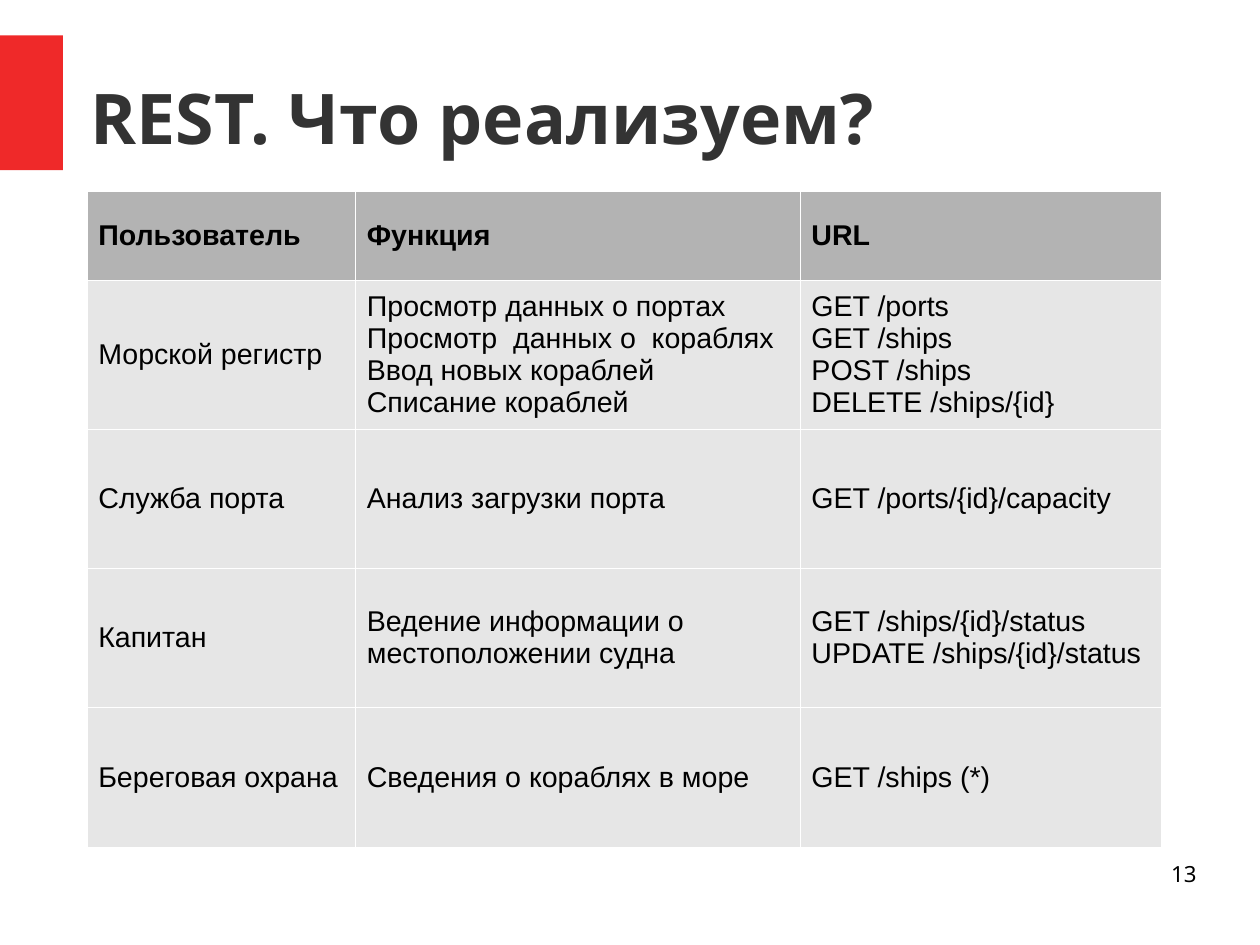
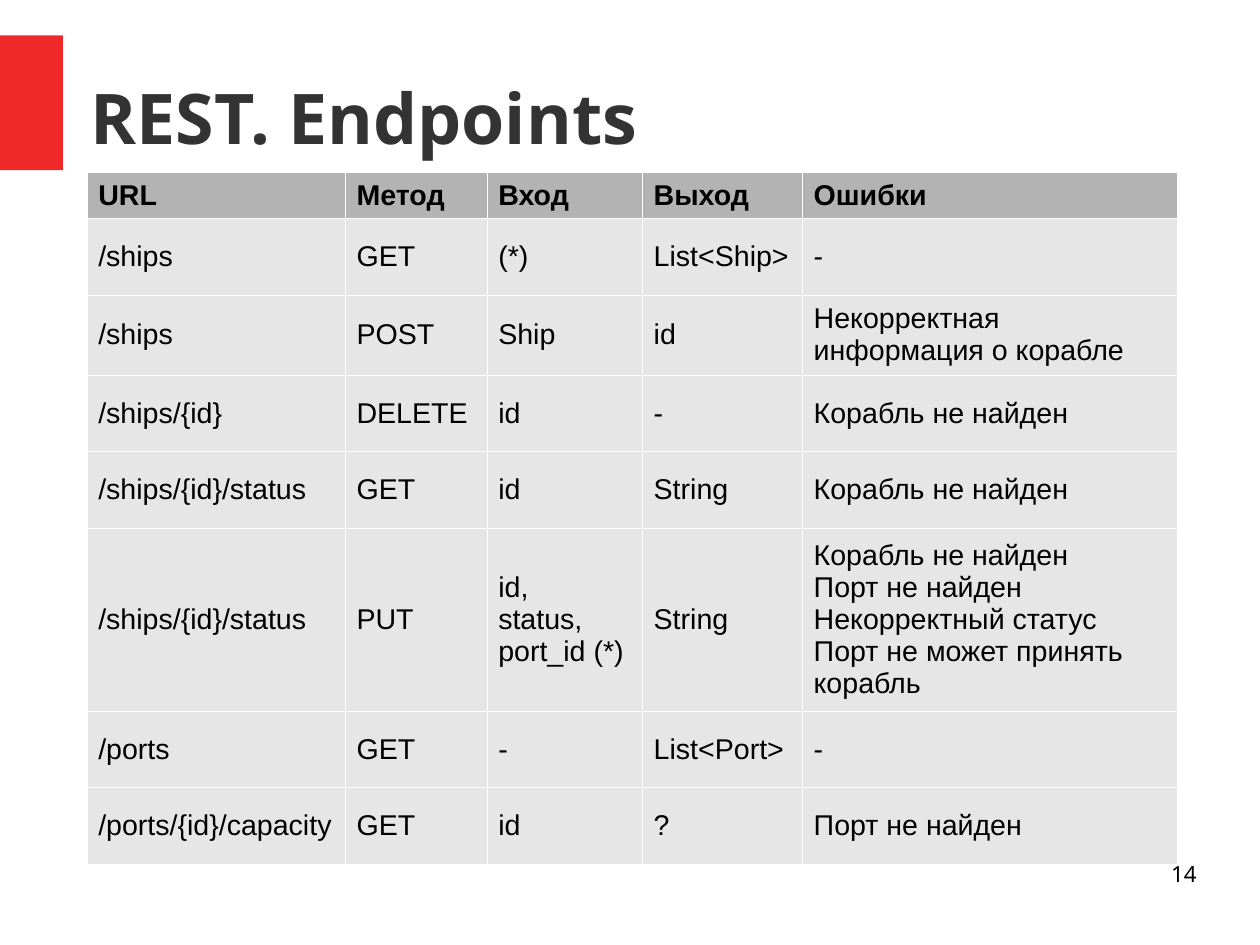
from dataclasses import dataclass

from lxml import etree
from pptx import Presentation
from pptx.dml.color import RGBColor
from pptx.enum.shapes import MSO_SHAPE
from pptx.enum.text import MSO_ANCHOR, PP_ALIGN
from pptx.oxml.ns import qn
from pptx.util import Inches, Pt

RECT = MSO_SHAPE.RECTANGLE
TOP, MIDDLE = MSO_ANCHOR.TOP, MSO_ANCHOR.MIDDLE
LEFT, RIGHT = PP_ALIGN.LEFT, PP_ALIGN.RIGHT
BLANK = 6
CM_PER_INCH = 2.54


@dataclass(frozen=True)
class Theme:
    accent: str = "EF2929"
    title: str = "333333"
    text: str = "000000"
    head_fill: str = "B3B3B3"
    body_fill: str = "E6E6E6"
    border: str = "FFFFFF"
    border_pt: float = 0.06
    title_font: str = "Noto Sans"
    table_font: str = "Arial"
    title_pt: int = 44
    table_pt: int = 18
    number_pt: int = 14


THEME = Theme()
TABLE_LEFT = 0.76

# Table contents: a line break inside a cell starts a new paragraph
FUNCTIONS = [
    ("Пользователь", "Функция", "URL"),
    ("Морской регистр",
     "Просмотр данных о портах\nПросмотр  данных о  кораблях\n"
     "Ввод новых кораблей\nСписание кораблей",
     "GET /ports\nGET /ships\nPOST /ships\nDELETE /ships/{id}"),
    ("Служба порта", "Анализ загрузки порта", "GET /ports/{id}/capacity"),
    ("Капитан", "Ведение информации о местоположении судна",
     "GET /ships/{id}/status\nUPDATE /ships/{id}/status"),
    ("Береговая охрана", "Сведения о кораблях в море", "GET /ships (*)"),
]
ENDPOINTS = [
    ("URL", "Метод", "Вход", "Выход", "Ошибки"),
    ("/ships", "GET", "(*)", "List<Ship>", "-"),
    ("/ships", "POST", "Ship", "id", "Некорректная информация о корабле"),
    ("/ships/{id}", "DELETE", "id", "-", "Корабль не найден"),
    ("/ships/{id}/status", "GET", "id", "String", "Корабль не найден"),
    ("/ships/{id}/status", "PUT", "id,\nstatus,\nport_id (*)", "String",
     "Корабль не найден\nПорт не найден\nНекорректный статус\n"
     "Порт не может принять корабль"),
    ("/ports", "GET", "-", "List<Port>", "-"),
    ("/ports/{id}/capacity", "GET", "id", "?", "Порт не найден"),
]


def style_text(tf, font, size, color, bold=False, align=LEFT):
    for p in tf.paragraphs:
        p.alignment = align
        for r in p.runs:
            r.font.name = font
            r.font.size = Pt(size)
            r.font.bold = bold
            r.font.color.rgb = RGBColor.from_string(color)


def add_text(s, box, text, anchor, *style):
    tf = s.shapes.add_textbox(*map(Inches, box)).text_frame
    tf.word_wrap = True
    tf.vertical_anchor = anchor
    tf.margin_left = tf.margin_top = tf.margin_right = tf.margin_bottom = 0
    tf.text = text
    style_text(tf, *style)


def add_borders(cell):
    tc_pr = cell._tc.get_or_add_tcPr()
    for side in ("a:lnL", "a:lnR", "a:lnT", "a:lnB"):
        ln = etree.SubElement(tc_pr, qn(side), w=str(int(Pt(THEME.border_pt))))
        fill = etree.SubElement(ln, qn("a:solidFill"))
        etree.SubElement(fill, qn("a:srgbClr"), val=THEME.border)


def add_table(s, top, widths, heights, rows):
    box = (TABLE_LEFT, top, sum(widths), sum(heights))
    table = s.shapes.add_table(len(rows), len(widths), *map(Inches, box)).table
    table.horz_banding = False
    for column, width in zip(table.columns, widths):
        column.width = Inches(width)
    for i, (row, height, texts) in enumerate(zip(table.rows, heights, rows)):
        row.height = Inches(height)
        is_head = i == 0
        color = THEME.head_fill if is_head else THEME.body_fill
        for cell, text in zip(row.cells, texts):
            cell.text_frame.text = text
            cell.vertical_anchor = MIDDLE
            add_borders(cell)
            cell.fill.solid()
            cell.fill.fore_color.rgb = RGBColor.from_string(color)
            style_text(cell.text_frame, THEME.table_font, THEME.table_pt,
                       THEME.text, is_head)


def add_slide(prs, title, number):
    s = prs.slides.add_slide(prs.slide_layouts[BLANK])
    # Accent band
    band = s.shapes.add_shape(RECT, 0, Inches(0.31), Inches(0.55), Inches(1.18))
    band.shadow.inherit = False
    band.fill.solid()
    band.fill.fore_color.rgb = RGBColor.from_string(THEME.accent)
    band.line.fill.background()
    # Title and slide number
    add_text(s, (0.79, 0.33, 9.68, 1.38), title, MIDDLE,
             THEME.title_font, THEME.title_pt, THEME.title, True)
    add_text(s, (7.9, 7.53, 2.57, 0.57), str(number), TOP,
             THEME.title_font, THEME.number_pt, THEME.text, False, RIGHT)
    return s


def main():
    prs = Presentation()
    # Custom page of 28 by 21 cm
    prs.slide_width = Inches(28 / CM_PER_INCH)
    prs.slide_height = Inches(21 / CM_PER_INCH)
    prs.element.sldSz.attrib.pop("type", None)

    # Users and their functions
    s = add_slide(prs, "REST. Что реализуем?", 13)
    add_table(s, 1.67, [2.35, 3.89, 3.16], [0.78, 1.3] + [1.22] * 3, FUNCTIONS)

    # Endpoint reference
    s = add_slide(prs, "REST. Endpoints", 14)
    add_table(s, 1.51, [2.26, 1.24, 1.36, 1.4, 3.28],
              [0.4, 0.67, 0.69, 0.67, 0.67, 1.6, 0.67, 0.67], ENDPOINTS)

    prs.save("out.pptx")


if __name__ == "__main__":
    main()
